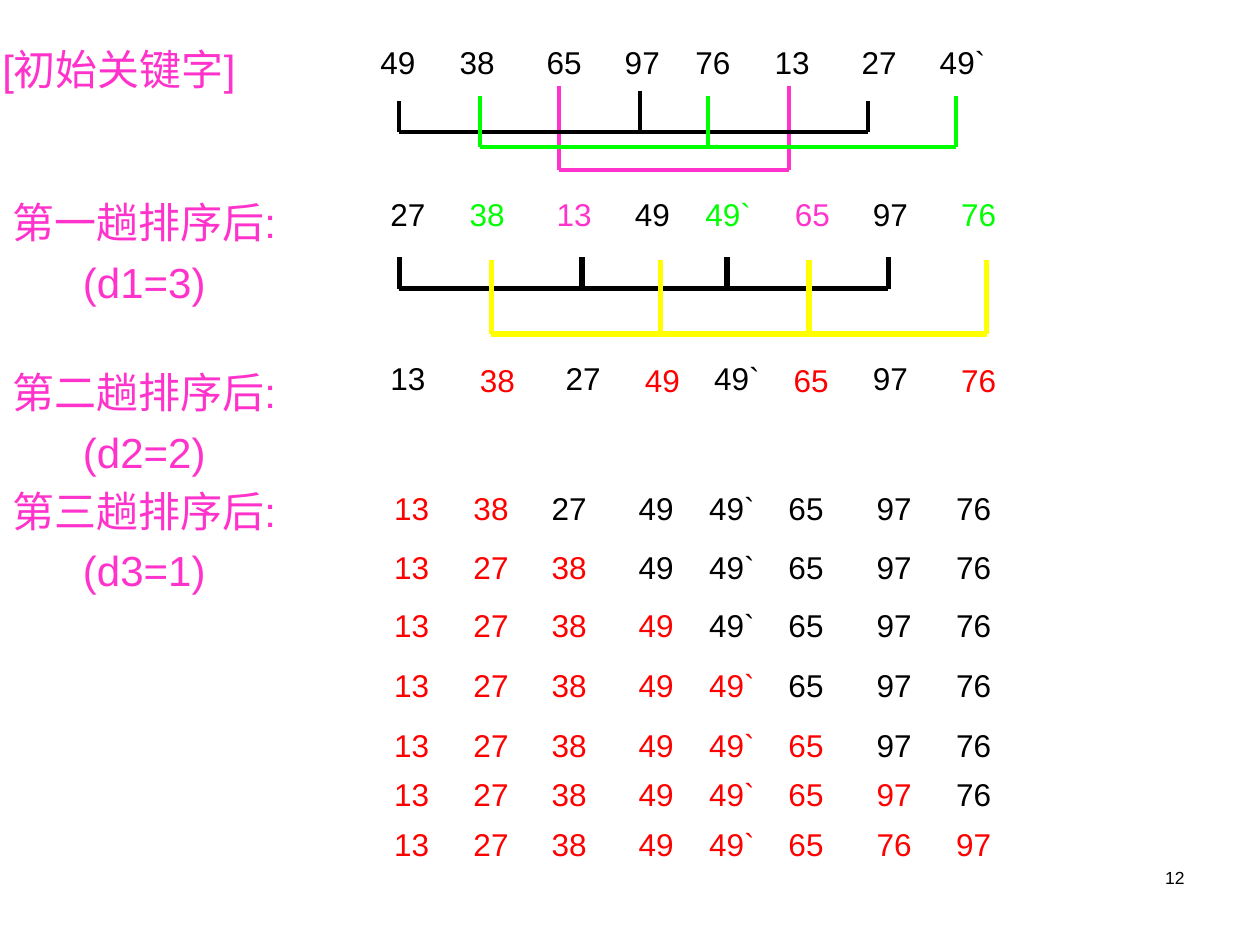
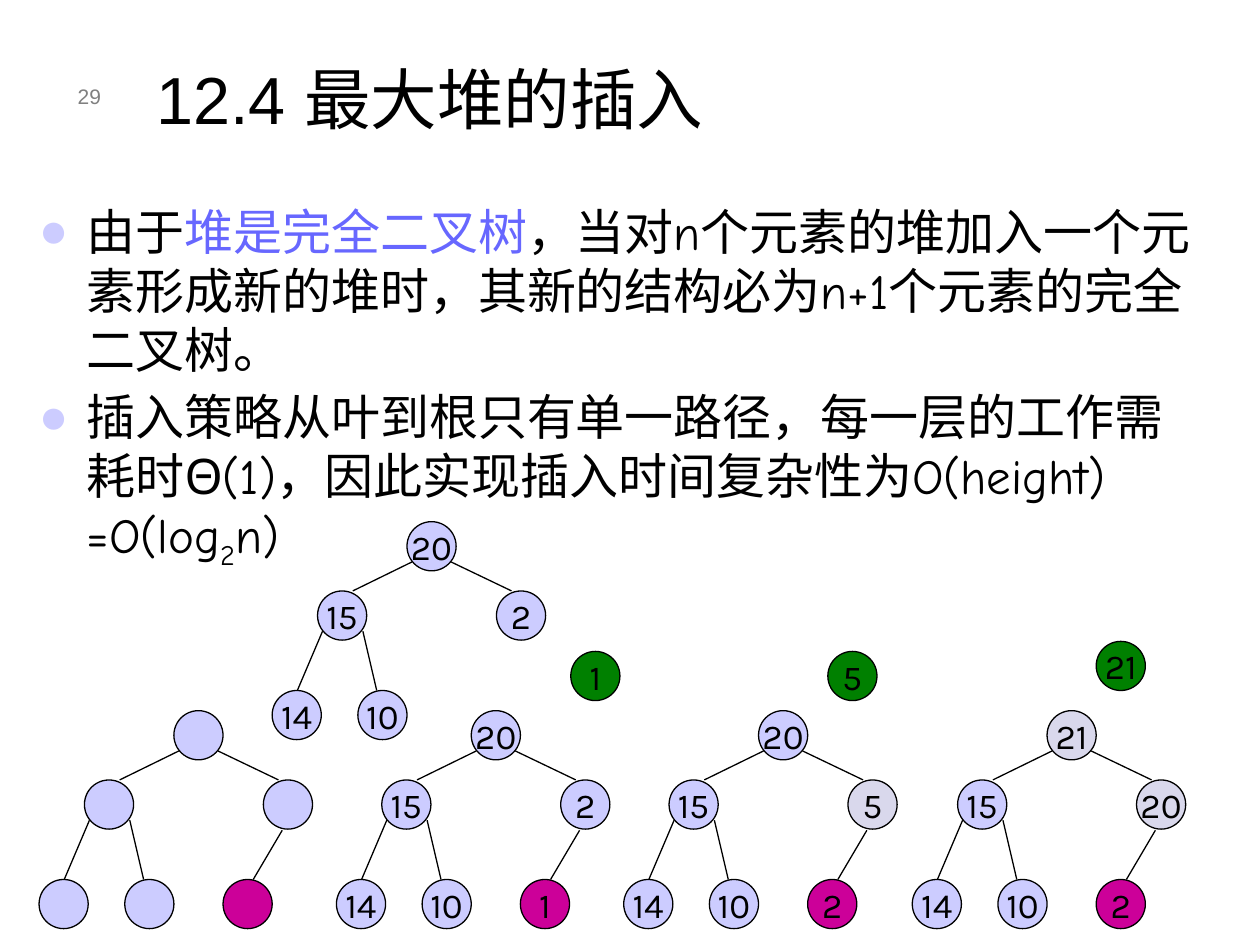
from dataclasses import dataclass

from lxml import etree
from pptx import Presentation
from pptx.dml.color import RGBColor
from pptx.enum.shapes import MSO_CONNECTOR, MSO_SHAPE
from pptx.enum.text import MSO_ANCHOR, PP_ALIGN
from pptx.oxml.ns import qn
from pptx.util import Inches, Pt

STRAIGHT = MSO_CONNECTOR.STRAIGHT
OVAL = MSO_SHAPE.OVAL
TOP, MIDDLE, BOTTOM = MSO_ANCHOR.TOP, MSO_ANCHOR.MIDDLE, MSO_ANCHOR.BOTTOM
LEFT, CENTER, RIGHT = PP_ALIGN.LEFT, PP_ALIGN.CENTER, PP_ALIGN.RIGHT


@dataclass
class Theme:
    black: str = "000000"
    gray: str = "808080"
    pink: str = "FF33CC"
    green: str = "00FF00"
    yellow: str = "FFFF00"
    red: str = "FF0000"
    blue: str = "6767FF"
    lilac: str = "CCCCFF"
    pale: str = "D9D8EC"
    plum: str = "CC0099"
    leaf: str = "008000"
    sans: str = "Arial"
    hand: str = "Comic Neue"
    round: str = "Karla"
    title: int = 38
    body: int = 28
    label: int = 24
    node: int = 20
    key: int = 18
    page: int = 12
    small: int = 10


T = Theme()


def write(slide, box, paras, size, font=T.sans, align=LEFT, anchor=TOP):
    shape = slide.shapes.add_textbox(*map(Inches, box))
    frame = shape.text_frame
    frame.word_wrap = True
    frame.vertical_anchor = anchor
    for i, parts in enumerate(paras):
        para = frame.add_paragraph() if i else frame.paragraphs[0]
        para.alignment = align
        for text, color in parts:
            run = para.add_run()
            run.text = text
            run.font.size = Pt(size)
            run.font.name = font
            run.font.color.rgb = RGBColor.from_string(color)
    return frame.paragraphs


def draw(slide, start, end, color, width):
    line = slide.shapes.add_connector(STRAIGHT, *map(Inches, start + end))
    line.line.color.rgb = RGBColor.from_string(color)
    line.line.width = Pt(width)
    etree.SubElement(line._element.spPr, qn("a:effectLst"))


deck = Presentation()
deck.slide_width, deck.slide_height = Inches(10), Inches(7.5)
blank = deck.slide_layouts[6]

sort = deck.slides.add_slide(blank)
write(sort, (7.17, 6.83, 2.33, 0.5), [[("12", T.black)]], T.small, align=RIGHT)
write(sort, (-0.08, 0.3, 2.5, 0.5), [[("[初始关键字]", T.pink)]], T.label)

passes = [(1.62, "第一趟排序后:", "(d1=3)"), (2.97, "第二趟排序后:", "(d2=2)"),
          (3.91, "第三趟排序后:", "(d3=1)")]
for top, name, step in passes:
    paras = write(sort, (0, top, 2.92, 0.86), [[(name, T.pink)], [(step, T.pink)]], T.label)
    for para in paras:
        para.line_spacing = 0.7
    paras[1].space_before = Pt(14)
    paras[1]._p.get_or_add_pPr().set("marL", str(Inches(0.56)))

forks = [
    (T.pink, 2.25, 1.35, [4.44, 6.26], [0.68] * 2),
    (T.black, 3, 2.29, [3.17, 4.62, 5.77, 7.05], [2.04] * 4),
    (T.yellow, 3, 2.65, [3.9, 5.24, 6.42, 7.83], [2.06] * 4),
    (T.black, 2.25, 1.05, [3.17, 5.08, 6.89], [0.8, 0.72, 0.8]),
    (T.green, 2.25, 1.17, [3.81, 5.62, 7.59], [0.76] * 3),
]
for color, width, base, spots, tops in forks:
    draw(sort, (spots[0], base), (spots[-1], base), color, width)
    for x, top in zip(spots, tops):
        draw(sort, (x, top), (x, base), color, width)

trio = [T.black, T.green, T.pink]
rows = [
    (2.92, 0.29, "49 38 65 97 76 13 27 49`", [T.black] * 8,
     [0.63, 1.32, 1.94, 2.5, 3.13, 3.82, 4.44]),
    (3, 1.5, "27 38 13 49 49` 65 97 76", (trio * 3)[:8],
     [0.63, 1.32, 1.94, 2.5, 3.21, 3.83, 4.53]),
    (3, 2.8, "13 27 49` 97", [T.black] * 4, [1.39, 2.57, 3.83]),
    (3.71, 2.82, "38 49 65 76", [T.red] * 4, [1.31, 2.49, 3.82]),
]
keys = "13 38 27 49 49` 65 97 76".split()
for done, top in enumerate([3.83, 4.3, 4.76, 5.24, 5.71, 6.1, 6.5], 2):
    order = sorted(keys[:done]) + keys[done:]
    colors = [T.red] * done + [T.black] * (8 - done)
    rows.append((3.03, top, " ".join(order), colors,
                 [0.63, 1.25, 1.94, 2.5, 3.13, 3.83, 4.46]))

for left, top, text, colors, stops in rows:
    words = text.replace(" ", " \t").split(" ")
    para = write(sort, (left, top, 6.2, 0.4), [zip(words, colors)], T.key)[0]
    tabs = etree.SubElement(para._p.get_or_add_pPr(), qn("a:tabLst"))
    for stop in stops:
        etree.SubElement(tabs, qn("a:tab"), pos=str(Inches(stop)), algn="l")

heap = deck.slides.add_slide(blank)
write(heap, (0.35, 0.44, 0.55, 0.47), [[("29", T.gray)]], T.page, align=RIGHT, anchor=BOTTOM)
write(heap, (1.14, 0.21, 8.59, 0.93), [[("12.4 最大堆的插入", T.black)]], T.title, anchor=BOTTOM)
points = write(heap, (0.21, 1.55, 9.44, 3.36), [
    [("由于", T.black), ("堆是完全二叉树", T.blue),
     ("，当对n个元素的堆加入一个元素形成新的堆时，其新的结构必为n+1个元素的完全二叉树。", T.black)],
    [("插入策略从叶到根只有单一路径，每一层的工作需耗时Θ(1)，"
      "因此实现插入时间复杂性为O(height) =O(log", T.black),
     ("2", T.black), ("n)", T.black)],
], T.body, T.hand)
for para in points:
    props = para._p.get_or_add_pPr()
    props.set("marL", str(Inches(0.38)))
    props.set("indent", str(Inches(-0.38)))
    tint = etree.SubElement(props, qn("a:buClr"))
    etree.SubElement(tint, qn("a:srgbClr"), val=T.lilac)
    etree.SubElement(props, qn("a:buFont"), typeface=T.sans)
    etree.SubElement(props, qn("a:buChar"), char="●")
points[1].space_before = Pt(5)
points[1].runs[1].font._element.set("baseline", "-25000")

spots = [(0, 0), (-0.71, 0.55), (0.71, 0.55), (-1.07, 1.34), (-0.39, 1.34), (0.39, 1.34)]
edges = [((-0.43, 0.55), (0.04, 0.32)), ((0.83, 0.55), (0.35, 0.32)),
         ((-0.87, 1.34), (-0.67, 0.87)), ((-0.24, 1.34), (-0.35, 0.87)),
         ((0.63, 1.34), (0.86, 0.95))]
L, P, M = T.lilac, T.pale, T.plum
trees = [
    (3.23, 4.14, ["20", "15", "2", "14", "10"], [L] * 5),
    (1.38, 5.64, [""] * 6, [L] * 5 + [M]),
    (3.74, 5.64, ["20", "15", "2", "14", "10", "1"], [L] * 5 + [M]),
    (6.02, 5.64, ["20", "15", "5", "14", "10", "2"], [L, L, P, L, L, M]),
    (8.31, 5.64, ["21", "15", "20", "14", "10", "2"], [P, L, P, L, L, M]),
]
nodes = [(4.53, 5.17, "1", T.leaf), (6.57, 5.17, "5", T.leaf), (8.7, 5.09, "21", T.leaf)]
for x, y, names, fills in trees:
    nodes += [(x + dx, y + dy, name, fill)
              for (dx, dy), name, fill in zip(spots, names, fills)]
    for (ax, ay), (bx, by) in edges[:len(names) - 1]:
        draw(heap, (x + ax, y + ay), (x + bx, y + by), T.black, 0.75)

for x, y, name, fill in nodes:
    node = heap.shapes.add_shape(OVAL, *map(Inches, (x, y, 0.39, 0.39)))
    node.shadow.inherit = False
    node.fill.solid()
    node.fill.fore_color.rgb = RGBColor.from_string(fill)
    node.line.color.rgb = RGBColor.from_string(T.black)
    node.line.width = Pt(0.75)
    if name:
        frame = node.text_frame
        frame.text = name
        frame.word_wrap = False
        frame.vertical_anchor = MIDDLE
        para = frame.paragraphs[0]
        para.alignment = CENTER
        font = para.runs[0].font
        font.name, font.size = T.round, Pt(T.node)
        font.color.rgb = RGBColor.from_string(T.black)

deck.save("out.pptx")
